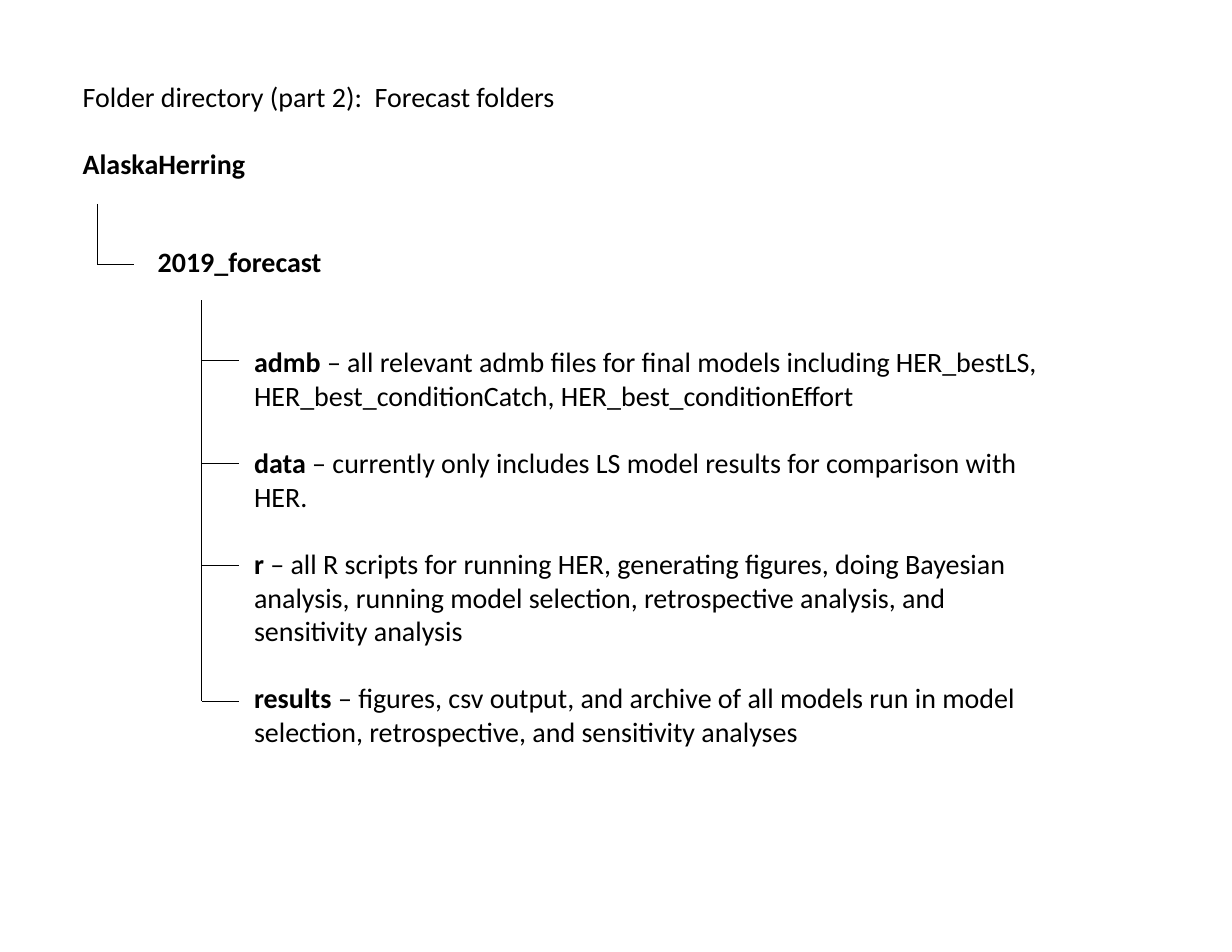
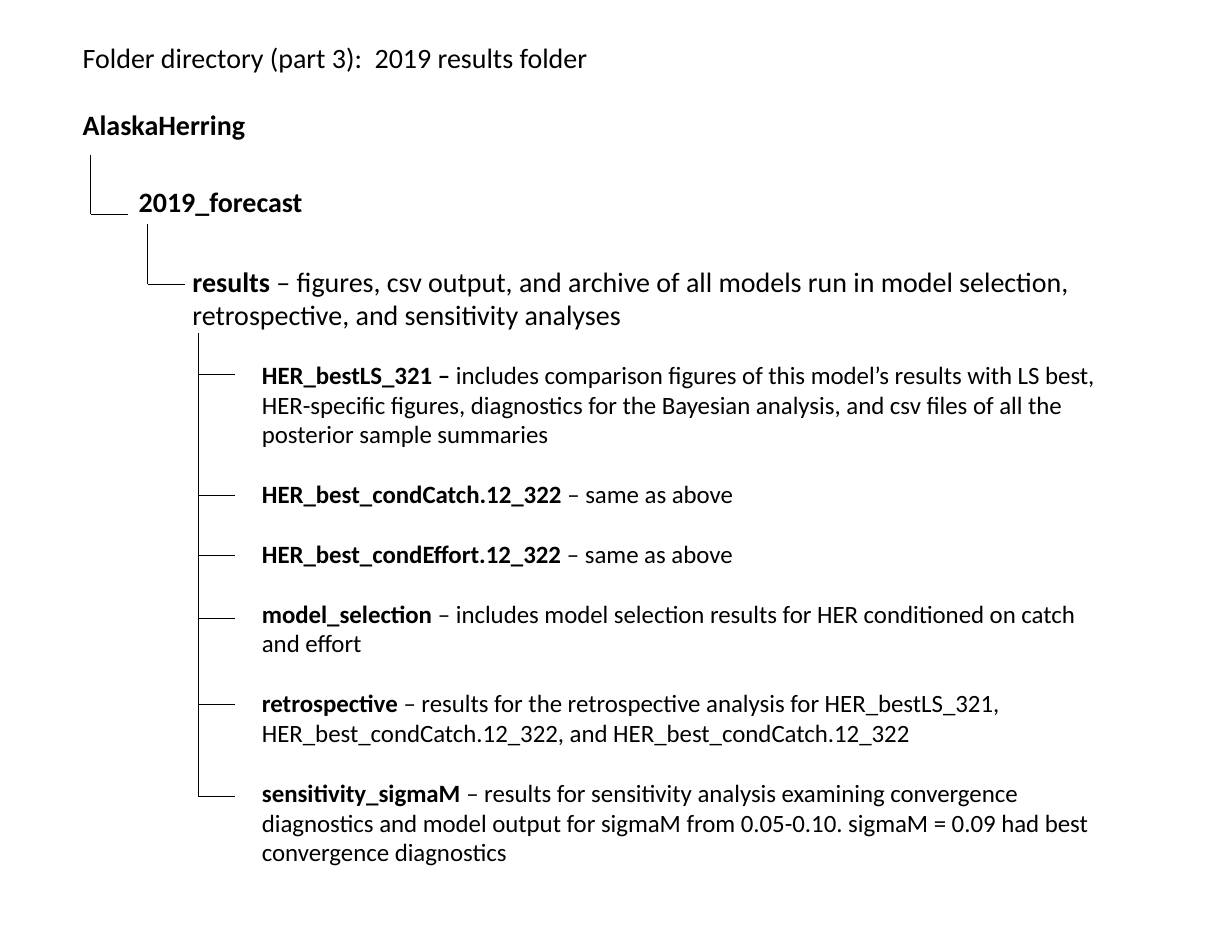
from dataclasses import dataclass

from lxml.etree import SubElement
from pptx import Presentation
from pptx.dml.color import RGBColor
from pptx.enum.shapes import MSO_CONNECTOR
from pptx.oxml.ns import qn
from pptx.slide import Slide
from pptx.util import Inches, Pt

FONT = "Calibri"
INK = "000000"
HEADING_SIZE = 18
DETAIL_SIZE = 16
LINE_HEIGHT = 1.2
STUB_LENGTH = 0.33


@dataclass(frozen=True)
class Entry:
    """A bold folder name followed by a plain description."""
    name: str
    note: str = ""


@dataclass(frozen=True)
class Listing:
    """Folder entries one blank line apart in a text box."""
    left: float
    top: float
    width: float
    height: float
    entries: tuple[Entry, ...]
    size: int = HEADING_SIZE
    wrap: bool = True


@dataclass(frozen=True)
class Branch:
    """A trunk that ends at the last of its stubs."""
    left: float
    top: float
    stubs: tuple[float, ...]


@dataclass(frozen=True)
class Directory:
    """The listings and branches that make up one slide."""
    listings: tuple[Listing, ...]
    branches: tuple[Branch, ...]


def color(value: str) -> RGBColor:
    """Turn a hex string into a colour."""
    return RGBColor.from_string(value)


def heading(top: float, width: float, title: str) -> Listing:
    """Describe the slide title with the root folder below it."""
    return Listing(0.64, top, width, 1.01,
                   (Entry("", title), Entry("AlaskaHerring")), wrap=False)


def forecast_folder(left: float, top: float) -> Listing:
    """Describe the label of the forecast folder."""
    return Listing(left, top, 1.68, 0.4, (Entry("2019_forecast"),), wrap=False)


def draw_listing(slide: Slide, listing: Listing) -> None:
    """Write the entries of a listing."""
    box = slide.shapes.add_textbox(Inches(listing.left), Inches(listing.top),
                                   Inches(listing.width), Inches(listing.height))
    frame = box.text_frame
    frame.word_wrap = listing.wrap
    for index, entry in enumerate(listing.entries):
        paragraph = frame.add_paragraph() if index else frame.paragraphs[0]
        if index:
            paragraph.space_before = Pt(listing.size * LINE_HEIGHT)
        paragraph.font.name = FONT
        paragraph.font.size = Pt(listing.size)
        paragraph.font.color.rgb = color(INK)
        for text, bold in ((entry.name, True), (entry.note, False)):
            if text:
                run = paragraph.add_run()
                run.text = text
                run.font.bold = bold


def draw_line(slide: Slide, x1: float, y1: float, x2: float, y2: float) -> None:
    """Draw one thin line without a shadow."""
    line = slide.shapes.add_connector(MSO_CONNECTOR.STRAIGHT, Inches(x1), Inches(y1),
                                      Inches(x2), Inches(y2))
    line.line.color.rgb = color(INK)
    line.line.width = Pt(0.5)
    SubElement(line._element.spPr, qn("a:effectLst"))


def draw_branch(slide: Slide, branch: Branch) -> None:
    """Draw a trunk and its stubs."""
    draw_line(slide, branch.left, branch.top, branch.left, branch.stubs[-1])
    for y in branch.stubs:
        draw_line(slide, branch.left, y, branch.left + STUB_LENGTH, y)


RESULTS = Entry("results ", "– figures, csv output, and archive of all models run in model "
                "selection, retrospective, and sensitivity analyses")

FORECAST_ENTRIES = (
    Entry("admb ", "– all relevant admb files for final models including HER_bestLS, "
          "HER_best_conditionCatch, HER_best_conditionEffort"),
    Entry("data ", "– currently only includes LS model results for comparison with HER."),
    Entry("r ", "– all R scripts for running HER, generating figures, doing Bayesian analysis, "
          "running model selection, retrospective analysis, and sensitivity analysis"),
    RESULTS,
)

RESULTS_ENTRIES = (
    Entry("HER_bestLS_321 – ", "includes comparison figures of this model’s results with LS best, "
          "HER-specific figures, diagnostics for the Bayesian analysis, and csv files of all the "
          "posterior sample summaries"),
    Entry("HER_best_condCatch.12_322 ", "– same as above"),
    Entry("HER_best_condEffort.12_322 ", "– same as above"),
    Entry("model_selection ", "– includes model selection results for HER conditioned on catch "
          "and effort"),
    Entry("retrospective ", "– results for the retrospective analysis for HER_bestLS_321, "
          "HER_best_condCatch.12_322, and HER_best_condCatch.12_322"),
    Entry("sensitivity_sigmaM ", "– results for sensitivity analysis examining convergence "
          "diagnostics and model output for sigmaM from 0.05-0.10. sigmaM = 0.09 had best "
          "convergence diagnostics"),
)

DIRECTORIES = (
    Directory(
        (heading(0.66, 4.47, "Folder directory (part 2):  Forecast folders"),
         forecast_folder(1.31, 2.13),
         Listing(2.17, 3.03, 7.36, 4.34, FORECAST_ENTRIES)),
        (Branch(0.87, 1.82, (2.36,)),
         Branch(1.8, 2.68, (3.22, 4.14, 5.05, 6.26))),
    ),
    Directory(
        (heading(0.31, 4.76, "Folder directory (part 3):  2019 results folder"),
         forecast_folder(1.14, 1.6),
         Listing(1.62, 2.31, 8.51, 0.71, (RESULTS,)),
         Listing(2.24, 3.16, 7.74, 4.98, RESULTS_ENTRIES, DETAIL_SIZE)),
        (Branch(0.81, 1.38, (1.91,)),
         Branch(1.32, 2, (2.54,)),
         Branch(1.77, 2.97, (3.34, 4.42, 4.96, 5.52, 6.29, 7.11))),
    ),
)


def main() -> None:
    """Build the folder directory slides."""
    deck = Presentation()
    deck.slide_width, deck.slide_height = Inches(11), Inches(8.5)
    for directory in DIRECTORIES:
        slide = deck.slides.add_slide(deck.slide_layouts[6])
        for listing in directory.listings:
            draw_listing(slide, listing)
        for branch in directory.branches:
            draw_branch(slide, branch)
    deck.save("out.pptx")


if __name__ == "__main__":
    main()
